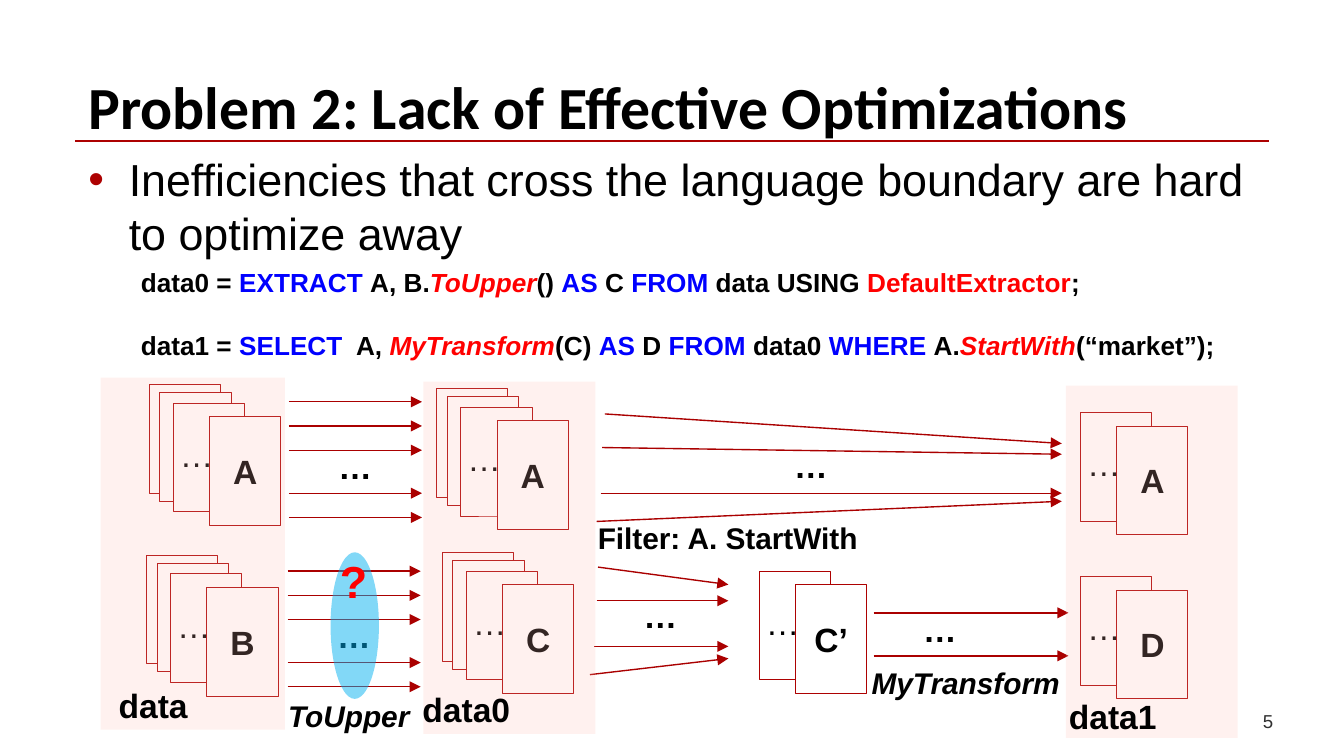
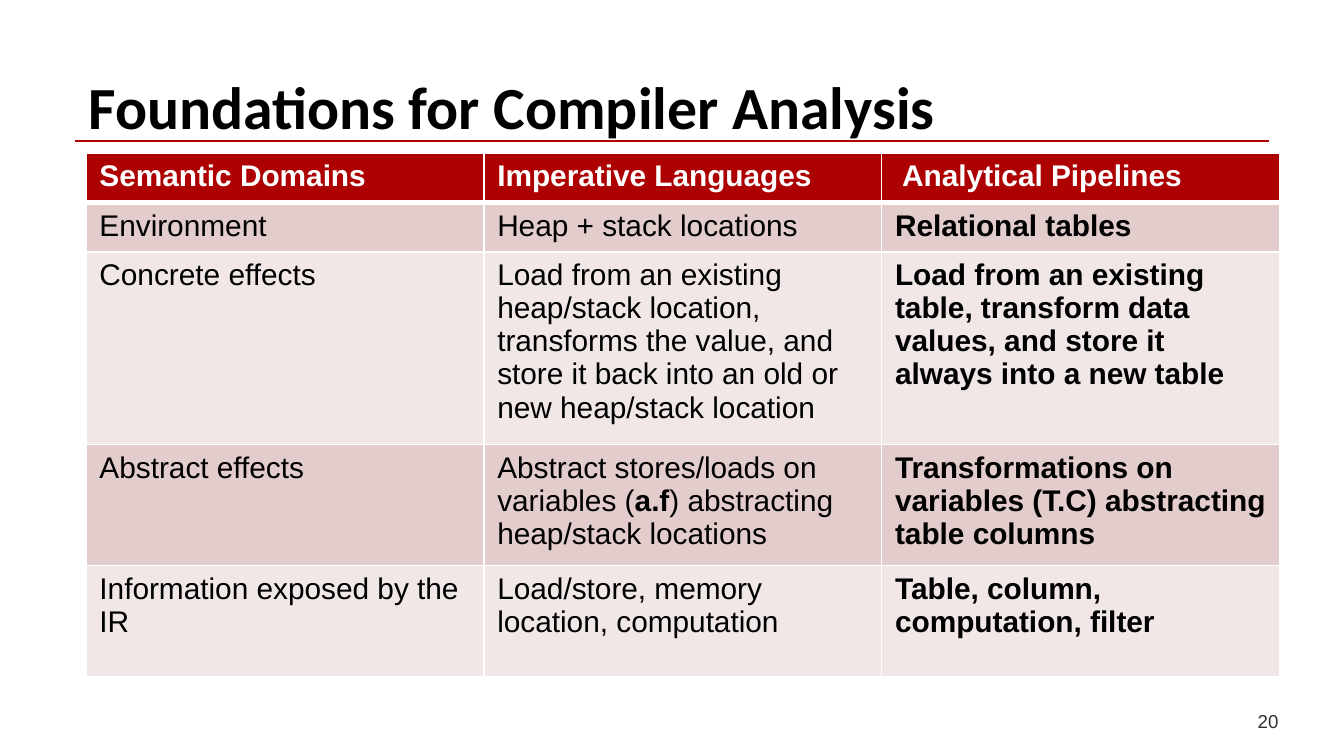
from collections import namedtuple

from lxml.etree import SubElement
from pptx import Presentation
from pptx.dml.color import RGBColor
from pptx.enum.shapes import MSO_CONNECTOR as Connector, MSO_SHAPE as Preset
from pptx.enum.text import MSO_ANCHOR as Anchor, PP_ALIGN as Align
from pptx.oxml.ns import qn
from pptx.util import Inches, Pt

Box = namedtuple("Box", "left top width height")
Run = namedtuple("Run", "text color style", defaults=("000000", "b"))

WHITE, RED, BLUE = "FFFFFF", "FF0000", "0000FF"
CRIMSON, ARROW, BAND, GREY = "AD0101", "AA0000", "FFBAB0", "303030"
STRIPES = ("E3CCCC", "F1E7E7")
CARD_SIZE = (0.53, 0.81)
BACK_CARDS = [(-0.45, -0.24), (-0.37, -0.18), (-0.27, -0.1)]

CODE = [
    [Run("data0 = "), Run("EXTRACT ", BLUE), Run("A, B."), Run("ToUpper", RED, "bi"),
     Run("() "), Run("AS", BLUE), Run(" C "), Run("FROM", BLUE), Run(" data USING "),
     Run("DefaultExtractor", RED), Run(";")],
    [Run("data1 = "), Run("SELECT ", BLUE), Run(" A, "), Run("MyTransform", RED, "bi"),
     Run("(C) "), Run("AS", BLUE), Run(" D "), Run("FROM", BLUE), Run(" data0 "),
     Run("WHERE ", BLUE), Run("A."), Run("StartWith", RED, "bi"), Run("(“market”);")],
]

HEADINGS = ["Semantic Domains", "Imperative Languages", " Analytical Pipelines"]
DOMAINS = [
    ("Environment", ["Heap + stack locations"], "Relational tables"),
    ("Concrete effects",
     ["Load from an existing heap/stack location, transforms the value, "
      "and store it back into an old or new heap/stack location"],
     "Load from an existing table, transform data values, "
     "and store it always into a new table"),
    ("Abstract effects",
     ["Abstract stores/loads on variables (", "a.f", ") abstracting heap/stack locations"],
     "Transformations on variables (T.C) abstracting table columns"),
    ("Information exposed by the IR", ["Load/store, memory location, computation"],
     "Table, column, computation, filter"),
]
ROW_HEIGHTS = [0.34, 0.34, 1.33, 0.84, 0.83]


def rgb(value):
    """Turn a hex string into a colour."""
    return RGBColor.from_string(value)


def inches(box):
    """Turn the numbers of a box into lengths."""
    return [Inches(value) for value in box]


def write(para, runs, size, font="Arial"):
    """Add styled runs to a paragraph."""
    for run in runs:
        span = para.add_run()
        span.text = run.text
        span.font.name = font
        span.font.size = Pt(size)
        span.font.bold = "b" in run.style
        span.font.italic = "i" in run.style
        span.font.color.rgb = rgb(run.color)


def add_text(page, box, runs, size, align=Align.LEFT, anchor=Anchor.TOP,
             wrap=True, font="Arial"):
    """Place a one-paragraph text box and return its paragraph."""
    frame = page.shapes.add_textbox(*inches(box)).text_frame
    frame.word_wrap = wrap
    frame.vertical_anchor = anchor
    para = frame.paragraphs[0]
    para.alignment = align
    write(para, runs, size, font)
    return para


def add_preset(page, preset, box, fill, opacity=100, outline=None):
    """Place a filled preset shape, optionally see-through or outlined."""
    shape = page.shapes.add_shape(preset, *inches(box))
    shape.shadow.inherit = False
    shape.fill.solid()
    shape.fill.fore_color.rgb = rgb(fill)
    if opacity < 100:
        color = shape.element.spPr.find(qn("a:solidFill"))[0]
        SubElement(color, qn("a:alpha"), val=str(opacity * 1000))
    if outline:
        shape.line.color.rgb = rgb(outline)
        shape.line.width = Pt(0.5)
    else:
        shape.line.fill.background()
    return shape


def add_line(page, start, end, color, width, arrow=False):
    """Draw a straight line, with an arrowhead at its end if asked."""
    line = page.shapes.add_connector(Connector.STRAIGHT, *inches(start + end))
    line.line.color.rgb = rgb(color)
    line.line.width = Pt(width)
    outline = line.element.spPr
    if arrow:
        SubElement(outline.find(qn("a:ln")), qn("a:tailEnd"), type="triangle")
    SubElement(outline, qn("a:effectLst"))


def add_page(deck, title, number):
    """Start a slide with the shared rule, title and page number."""
    page = deck.slides.add_slide(deck.slide_layouts[6])
    add_line(page, (0.56, 1.05), (9.44, 1.05), CRIMSON, 1)
    add_text(page, Box(8.97, 5.2, 0.93, 0.3), [Run(number, GREY, "")], 10,
             Align.CENTER, Anchor.BOTTOM)
    para = add_text(page, Box(0.56, 0.2, 8.88, 0.9), [Run(title)], 32,
                    anchor=Anchor.BOTTOM, font="Calibri")
    para.line_spacing = Pt(35)
    return page


def add_bullet(page, box, text):
    """Place a bulleted statement."""
    para = add_text(page, box, [Run(text, style="")], 24)
    layout = para._p.get_or_add_pPr()
    layout.set("marL", str(Inches(0.3)))
    layout.set("indent", str(Inches(-0.3)))
    SubElement(SubElement(layout, qn("a:buClr")), qn("a:srgbClr"), val=CRIMSON)
    SubElement(layout, qn("a:buFont"), typeface="Arial")
    SubElement(layout, qn("a:buChar"), char="•")


def add_code(page, box, lines):
    """Place lines of highlighted code one blank line apart."""
    frame = page.shapes.add_textbox(*inches(box)).text_frame
    frame.word_wrap = True
    for index, line in enumerate(lines):
        para = frame.add_paragraph() if index else frame.paragraphs[0]
        para.space_before = Pt(17 * index)
        write(para, line, 14)


def add_dots(page, left, top, style="b"):
    """Place an ellipsis."""
    add_text(page, Box(left, top, 0.45, 0.4), [Run("…", style=style)], 18, wrap=False)


def add_stack(page, left, top, name, backs=3):
    """Place a named front card with blank cards behind it."""
    for across, down in BACK_CARDS[-backs:] + [(0, 0)]:
        box = Box(left + across, top + down, *CARD_SIZE)
        card = add_preset(page, Preset.RECTANGLE, box, WHITE, outline=CRIMSON)
    frame = card.text_frame
    frame.word_wrap = False
    frame.vertical_anchor = Anchor.MIDDLE
    frame.paragraphs[0].alignment = Align.CENTER
    write(frame.paragraphs[0], [Run(name)], 18)
    add_dots(page, left - 0.32, top + 0.08, "")


def add_dataset(page, box, name, name_box, stacks, backs=3):
    """Place column stacks under a tinted band with the dataset's name."""
    for column, across, down in stacks:
        add_stack(page, box.left + across, box.top + down, column, backs)
    add_preset(page, Preset.RECTANGLE, box, BAND, opacity=20)
    across, down, width = name_box
    add_text(page, Box(box.left + across, box.top + down, width, 0.4), [Run(name)], 18,
             Align.CENTER, wrap=False)


def add_flow(page, box, arrows, dots, caption=None):
    """Draw arrows to the right edge of a box, with dots and a caption."""
    for indent, start, end in arrows:
        add_line(page, (box.left + indent, box.top + start),
                 (box.left + box.width, box.top + end), ARROW, 0.75, arrow=True)
    add_dots(page, box.left + dots[0], box.top + dots[1])
    if caption:
        text, style, across, down = caption
        add_text(page, Box(box.left + across, box.top + down, 2.15, 0.37),
                 [Run(text, style=style)], 16, Align.CENTER)


def add_question(page, box):
    """Place a see-through ellipse headed by a question mark."""
    add_preset(page, Preset.OVAL, box, "00B0F0", opacity=49)
    add_text(page, Box(box.left - 0.03, box.top - 0.04, 0.45, 0.5), [Run("?", RED)], 24)


def add_pipeline(page):
    """Draw the data flow from data through data0 to data1."""
    level = [(0, down, down) for down in (0, 0.18, 0.36, 0.68, 0.86)]
    add_flow(page, Box(2.15, 2.99, 0.99, 0.86), level, (0.27, 0.28))
    add_flow(page, Box(2.14, 4.25, 0.99, 0.86), level, (0.27, 0.28),
             ("ToUpper", "bi", -0.62, 0.89))
    add_flow(page, Box(4.44, 3.08, 3.46, 0.8),
             [(0.06, 0, 0.22), (0.04, 0.25, 0.3), (0.03, 0.59, 0.59), (0, 0.8, 0.65)],
             (1.37, 0.18), ("Filter: A. StartWith", "b", -0.1, 0.74))
    add_flow(page, Box(4.39, 4.22, 1.03, 0.8),
             [(0.06, 0, 0.13), (0.05, 0.25, 0.25), (0.03, 0.59, 0.59), (0, 0.8, 0.68)],
             (0.3, 0.16))
    add_stack(page, 5.92, 4.35, "C’", backs=1)
    add_flow(page, Box(6.5, 4.56, 1.45, 0.32), [(0, 0, 0), (0, 0.32, 0.32)],
             (0.27, -0.08), ("MyTransform", "bi", -0.39, 0.34))
    add_dataset(page, Box(0.75, 2.81, 1.37, 2.62), "data", (0.03, 2.24, 0.72),
                [("A", 0.81, 0.29), ("B", 0.79, 1.56)])
    add_dataset(page, Box(3.15, 2.84, 1.28, 2.62), "data0", (-0.11, 2.24, 0.86),
                [("A", 0.55, 0.29), ("C", 0.59, 1.51)])
    add_dataset(page, Box(7.93, 2.87, 1.28, 2.62), "data1", (-0.08, 2.26, 0.86),
                [("A", 0.38, 0.3), ("D", 0.38, 1.52)], backs=1)
    add_question(page, Box(2.46, 4.11, 0.36, 1.09))


def fill_cell(cell, runs, fill, bottom=1):
    """Write a table cell and give it white borders and a fill."""
    layout = cell._tc.get_or_add_tcPr()
    for side, width in (("lnL", 1), ("lnR", 1), ("lnT", 1), ("lnB", bottom)):
        border = SubElement(layout, qn("a:" + side), w=str(Pt(width)))
        SubElement(SubElement(border, qn("a:solidFill")), qn("a:srgbClr"), val=WHITE)
    cell.fill.solid()
    cell.fill.fore_color.rgb = rgb(fill)
    write(cell.text_frame.paragraphs[0], runs, 16)


def add_domains(page, box):
    """Place the table comparing semantic domains."""
    table = page.shapes.add_table(len(ROW_HEIGHTS), len(HEADINGS), *inches(box)).table
    for column in table.columns:
        column.width = Inches(box.width / len(HEADINGS))
    for row, height in zip(table.rows, ROW_HEIGHTS):
        row.height = Inches(height)
    for index, heading in enumerate(HEADINGS):
        fill_cell(table.cell(0, index), [Run(heading, WHITE)], CRIMSON, bottom=3)
    for index, (domain, imperative, pipeline) in enumerate(DOMAINS):
        mixed = [Run(text, style="b" if part % 2 else "")
                 for part, text in enumerate(imperative)]
        cells = [[Run(domain, style="")], mixed, [Run(pipeline)]]
        for column, runs in enumerate(cells):
            fill_cell(table.cell(index + 1, column), runs, STRIPES[index % 2])


def main():
    """Build and save the deck."""
    deck = Presentation()
    deck.slide_width, deck.slide_height = Inches(10), Inches(10 * 9 / 16)
    page = add_page(deck, "Problem 2: Lack of Effective Optimizations", "5")
    add_bullet(page, Box(0.56, 1.08, 8.88, 1.26),
               "Inefficiencies that cross the language boundary are hard to optimize away")
    add_code(page, Box(0.95, 1.93, 8.47, 0.81), CODE)
    add_pipeline(page)
    page = add_page(deck, "Foundations for Compiler Analysis", "20")
    add_domains(page, Box(0.64, 1.14, 8.88, sum(ROW_HEIGHTS)))
    deck.save("out.pptx")


if __name__ == "__main__":
    main()
